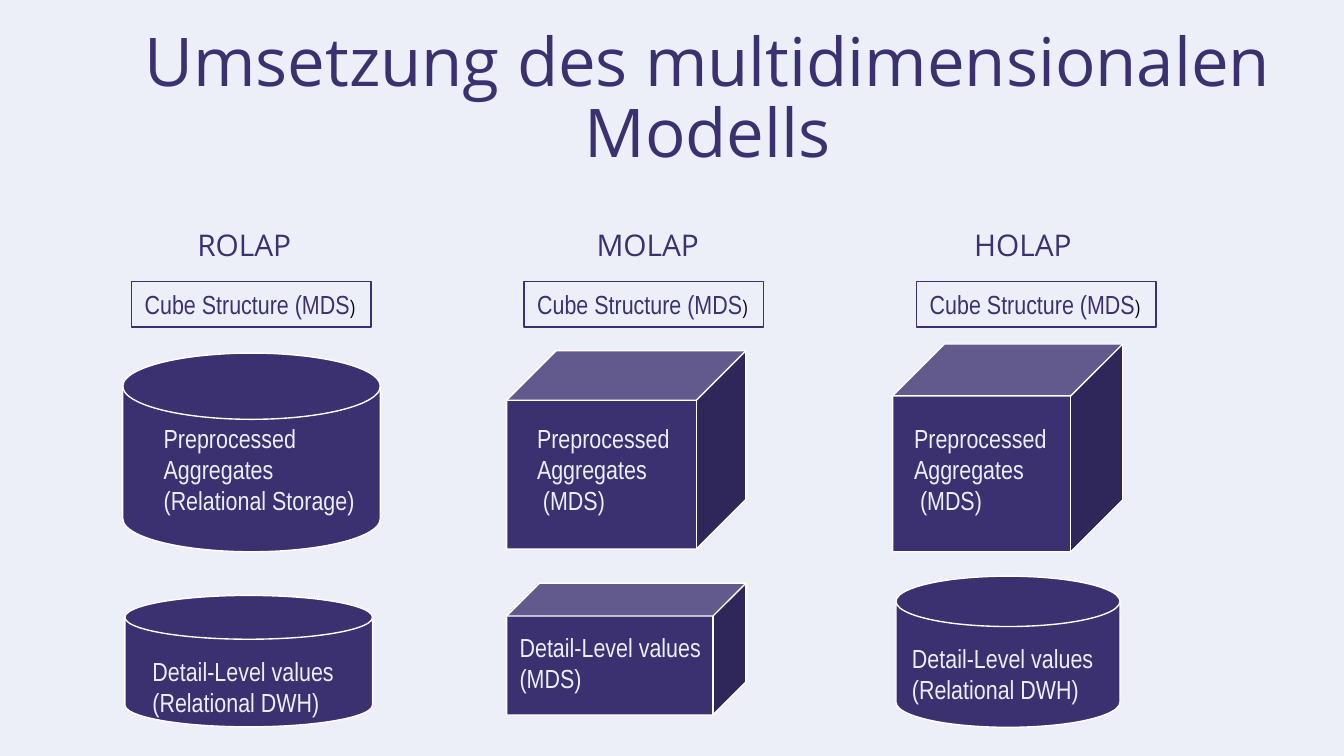
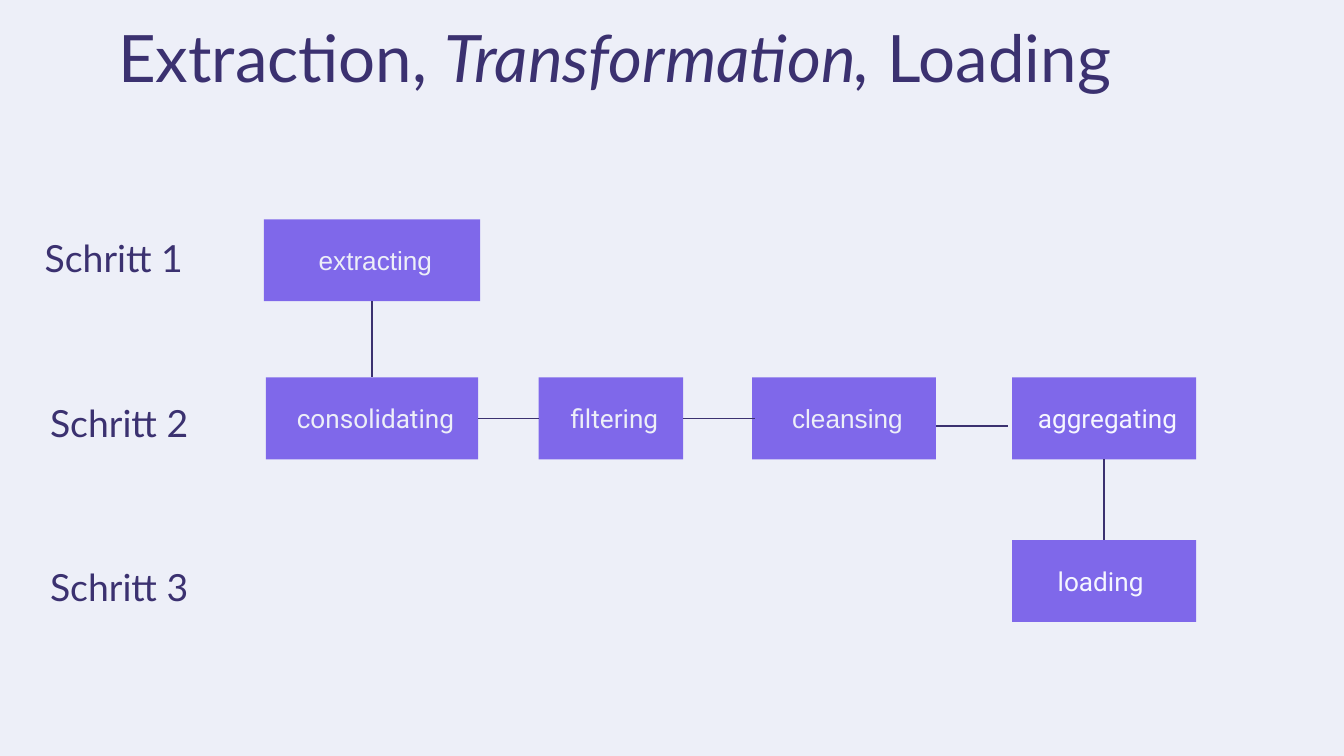
from lxml import etree
from pptx import Presentation
from pptx.dml.color import RGBColor
from pptx.enum import shapes, text
from pptx.oxml import ns
from pptx.util import Pt

INDIGO = RGBColor(0x3B, 0x31, 0x70)
VIOLET = RGBColor(0x7F, 0x68, 0xEA)
MIST = RGBColor(0xED, 0xEF, 0xF8)
PALE = RGBColor(0xF5, 0xF6, 0xFF)
WHITE = RGBColor(0xFF, 0xFF, 0xFF)
BLACK = RGBColor(0, 0, 0)

SANS, LATO, NARROW, ARIAL, ROBOTO = "Open Sans", "Lato", "Arial Narrow", "Arial", "Roboto"
LEFT, CENTER = text.PP_ALIGN.LEFT, text.PP_ALIGN.CENTER
TOP, MIDDLE, BOTTOM = text.MSO_ANCHOR.TOP, text.MSO_ANCHOR.MIDDLE, text.MSO_ANCHOR.BOTTOM
RECT = shapes.MSO_SHAPE.RECTANGLE
CUBE = shapes.MSO_SHAPE.CUBE
DISK = shapes.MSO_SHAPE.FLOWCHART_MAGNETIC_DISK


def write(box, paragraphs, size=14, font=NARROW, color=MIST, align=LEFT, anchor=TOP,
          margin=3.6, shift=0, spacing=None, wrap=True, indents=()):
    """Each paragraph is a list of (words, overrides) spans."""
    frame = box.text_frame
    frame.word_wrap = wrap
    frame.vertical_anchor = anchor
    frame.margin_left = Pt(7.2 + max(shift, 0))
    frame.margin_right = Pt(7.2 + max(-shift, 0))
    frame.margin_top = frame.margin_bottom = Pt(margin)
    for index, spans in enumerate(paragraphs):
        para = frame.paragraphs[0] if index == 0 else frame.add_paragraph()
        para.alignment = align
        if spacing:
            para.line_spacing = spacing
        if index < len(indents):
            para._p.get_or_add_pPr().set("marL", str(Pt(indents[index])))
        for words, overrides in spans:
            span = para.add_run()
            span.text = words
            span.font.name = font
            span.font.size = Pt(overrides.get("size", size))
            span.font.italic = overrides.get("italic")
            span.font.color.rgb = overrides.get("color", color)


def add_text(page, place, words, **style):
    box = page.shapes.add_textbox(*map(Pt, place))
    paragraphs = [[(words, {})]] if isinstance(words, str) else words
    write(box, paragraphs, **style)


def add_block(page, kind, place, fill=None, line=None):
    block = page.shapes.add_shape(kind, *map(Pt, place))
    block.shadow.inherit = False
    if fill is None:
        block.fill.background()
    else:
        block.fill.solid()
        block.fill.fore_color.rgb = fill
    if line is None:
        block.line.fill.background()
    else:
        block.line.color.rgb = line
        block.line.width = Pt(0.75)
    return block


def add_link(page, x1, y1, x2, y2):
    link = page.shapes.add_connector(shapes.MSO_CONNECTOR.STRAIGHT, *map(Pt, (x1, y1, x2, y2)))
    link.line.color.rgb = INDIGO
    link.line.width = Pt(0.75)
    etree.SubElement(link._element.spPr, ns.qn("a:effectLst"))


def add_page(deck):
    page = deck.slides.add_slide(deck.slide_layouts[6])
    page.background.fill.solid()
    page.background.fill.fore_color.rgb = MIST
    return page


def add_title(page, place, spans, **style):
    add_text(page, place, [spans], color=INDIGO, margin=7.2, **style)


def add_storage(page, kind, place, text_place, paragraphs, **style):
    add_block(page, kind, place, INDIGO, WHITE)
    add_text(page, text_place, [[(words, {})] for words in paragraphs], **style)


def build_models(deck):
    page = add_page(deck)
    add_title(page, (56.9, 8.6, 644.4, 45.4), [("Umsetzung des multidimensionalen Modells", {})],
              size=36, font=SANS, align=CENTER, spacing=0.88)

    for column, (name, x) in enumerate((("ROLAP", 98.6), ("MOLAP", 312.5), ("HOLAP", 514.8))):
        add_text(page, (x, 114.5, 123, 25.2), name, size=16, font=SANS, color=INDIGO, margin=7.2)
        box = add_block(page, RECT, (70.4 + 210.3 * column, 151, 128.4, 24.2), line=INDIGO)
        write(box, [[("Cube Structure (MDS", {}), (")", {"size": 10.5, "color": BLACK})]],
              color=INDIGO, wrap=False)

    mds = ["Preprocessed Aggregates", "(MDS)"]
    aggregates = (
        (DISK, (65.8, 189.2, 138, 106.4), 80.6, ["Preprocessed Aggregates (Relational Storage)"]),
        (CUBE, (271.4, 187.9, 128.2, 106.2), 280.6, mds),
        (CUBE, (478.2, 184.3, 123.3, 111.3), 482.6, mds),
    )
    for kind, place, x, paragraphs in aggregates:
        add_storage(page, kind, place, (x, 222.5, 123.1, 58.3), paragraphs, indents=(0, 3.2))

    relational = "Detail-Level values (Relational DWH)"
    details = (
        (DISK, (66.9, 319, 132.7, 70.4), (74.6, 347.6), relational),
        (CUBE, (271.4, 312.4, 128.2, 70.6), (271.3, 334.7), "Detail-Level values (MDS)"),
        (DISK, (480, 308.7, 120, 81), (481.5, 340.4), relational),
    )
    for kind, place, corner, words in details:
        add_storage(page, kind, place, (*corner, 120.2, 41), [words])


def build_process(deck):
    page = add_page(deck)
    add_title(page, (56.2, 2.2, 607, 45.4),
              [("Extraction, ", {}), ("Transformation,", {"italic": True}), (" Loading", {})],
              size=35, font=LATO)

    for number, (x, y) in enumerate(((11, 122.4), (13.9, 211), (13.9, 298.8)), 1):
        add_text(page, (x, y, 100, 34.6), f"Schritt {number}", size=20, font=LATO,
                 color=INDIGO, align=CENTER, anchor=BOTTOM, margin=7.2)

    row1, row2, row3, height = 117.5, 202.2, 289.3, 43.9
    steps = (
        ("extracting", 141.3, row1, 115.9, ARIAL, MIST, 3.6),
        ("consolidating", 142.4, row2, 113.8, ROBOTO, MIST, 3.6),
        ("filtering", 288.6, row2, 77.4, ROBOTO, MIST, 3.6),
        ("loading", 542.2, row3, 98.6, ROBOTO, PALE, -3.6),
        ("aggregating", 542.2, row2, 98.6, ROBOTO, PALE, 3.6),
        ("cleansing", 402.9, row2, 98.6, ARIAL, MIST, 3.6),
    )
    for words, x, y, width, font, color, shift in steps:
        box = add_block(page, RECT, (x, y, width, height), VIOLET)
        write(box, [[(words, {})]], font=font, color=color, align=CENTER, anchor=MIDDLE,
              margin=7.2, shift=shift)

    middle = row2 + height / 2
    for link in ((199.3, row1 + height, 199.3, row2),
                 (256.2, middle, 288.6, middle),
                 (366, middle, 404.4, middle),
                 (501.6, 228.2, 540, 228.2),
                 (591.4, row3, 591.4, row2 + height)):
        add_link(page, *link)


def main():
    deck = Presentation()
    deck.slide_width, deck.slide_height = Pt(720), Pt(405)
    build_models(deck)
    build_process(deck)
    deck.save("out.pptx")


if __name__ == "__main__":
    main()
